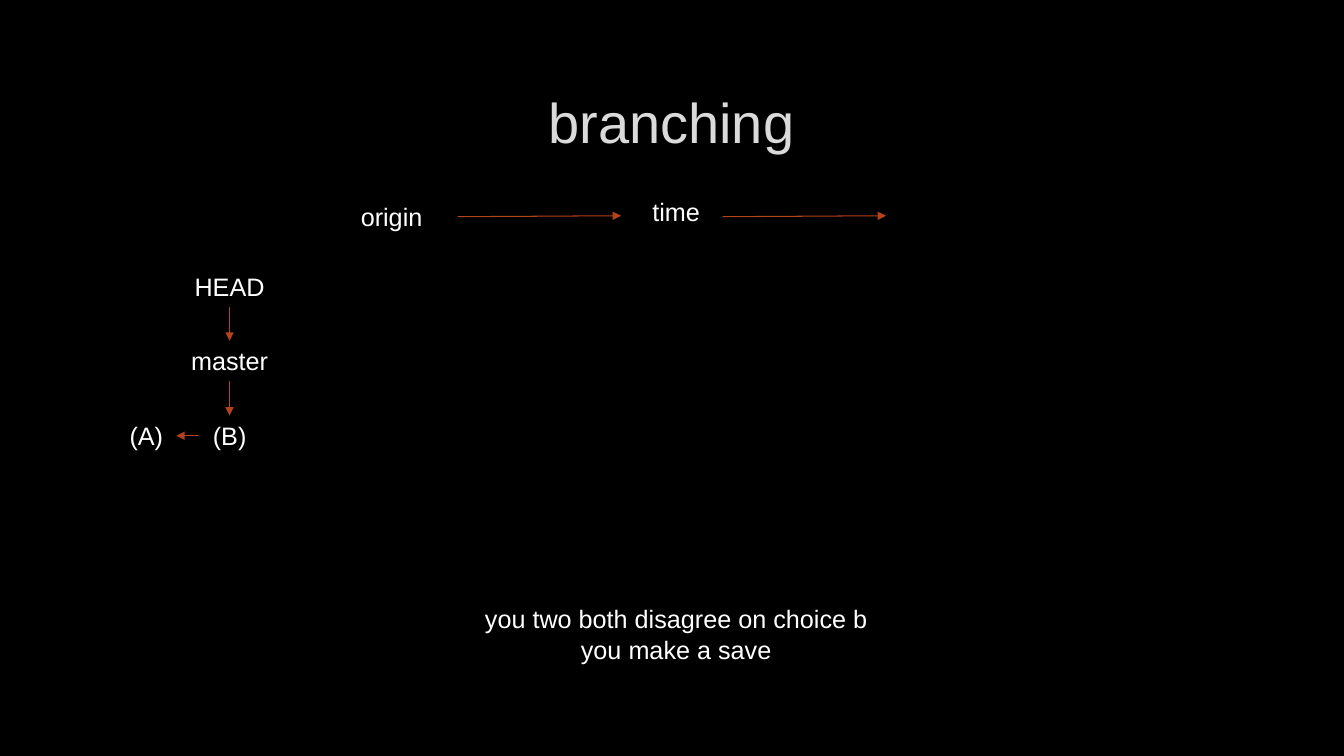
"""Build the slide on branching."""
from lxml import etree
from pptx import Presentation
from pptx.dml.color import RGBColor
from pptx.enum import shapes, text
from pptx.oxml.ns import qn
from pptx.util import Pt

HUES = {"back": "000000", "title": "DADADA", "text": "FFFFFF", "line": "B4421A"}
FONT = "Arial"
TITLE = "branching"
STACK = ["HEAD", "master", "(B)"]
PAST = "(A)"
NOTE = "you two both disagree on choice b\nyou make a save"

MID, TOP, STEP, TALL = 164, 190, 53.4, 29
WIDTHS = {"HEAD": 72, "master": 70, "(B)": 43, "(A)": 43}
PAST_MID = 104.5
ROW_Y, RUN = 154.8, 116.7
TIME_X = [326.9, 516.2]


def style(frame, size, hue):
    """Centre the text of a frame and set its font."""
    for para in frame.paragraphs:
        para.alignment = text.PP_ALIGN.CENTER
        for run in para.runs:
            run.font.name = FONT
            run.font.size = Pt(size)
            run.font.color.rgb = RGBColor.from_string(HUES[hue])


def label(slide, words, mid, top, width, tall=TALL):
    """Add a text box centred on mid."""
    box = slide.shapes.add_textbox(Pt(mid - width / 2), Pt(top), Pt(width), Pt(tall))
    frame = box.text_frame
    frame.text = words
    frame.word_wrap = True
    frame.auto_size = text.MSO_AUTO_SIZE.SHAPE_TO_FIT_TEXT
    style(frame, 18, "text")


def arrow(slide, *ends):
    """Add a thin arrow from the first point to the second."""
    line = slide.shapes.add_connector(
        shapes.MSO_CONNECTOR.STRAIGHT, *[Pt(end) for end in ends])
    line.line.color.rgb = RGBColor.from_string(HUES["line"])
    line.line.width = Pt(0.75)
    etree.SubElement(line.line._get_or_add_ln(), qn("a:tailEnd"), type="triangle")
    etree.SubElement(line._element.spPr, qn("a:effectLst"))


def main():
    """Lay out the slide and save it."""
    deck = Presentation()
    deck.slide_width, deck.slide_height = Pt(960), Pt(540)
    slide = deck.slides.add_slide(deck.slide_layouts[5])
    fill = slide.background.fill
    fill.solid()
    fill.fore_color.rgb = RGBColor.from_string(HUES["back"])

    title = slide.shapes.title
    title.left, title.top, title.width, title.height = Pt(72), Pt(48), Pt(815), Pt(76.5)
    title.text_frame.text = TITLE
    title.text_frame.vertical_anchor = text.MSO_ANCHOR.MIDDLE
    style(title.text_frame, 40, "title")

    for left in TIME_X:
        arrow(slide, left, ROW_Y, left + RUN, ROW_Y - 0.7)
    label(slide, "origin", 279.7, 140.4, 68.4)
    label(slide, "time", 483, 136.8, 66.2)

    for row, name in enumerate(STACK):
        top = TOP + row * STEP
        label(slide, name, MID, top, WIDTHS[name])
        if row:
            arrow(slide, MID, top - STEP + TALL, MID, top)

    label(slide, PAST, PAST_MID, top, WIDTHS[PAST])
    level = top + TALL / 2
    arrow(slide, MID - WIDTHS["(B)"] / 2, level, PAST_MID + WIDTHS[PAST] / 2, level)
    label(slide, NOTE, 483, 427.7, 291, 51)
    deck.save("out.pptx")


if __name__ == "__main__":
    main()
